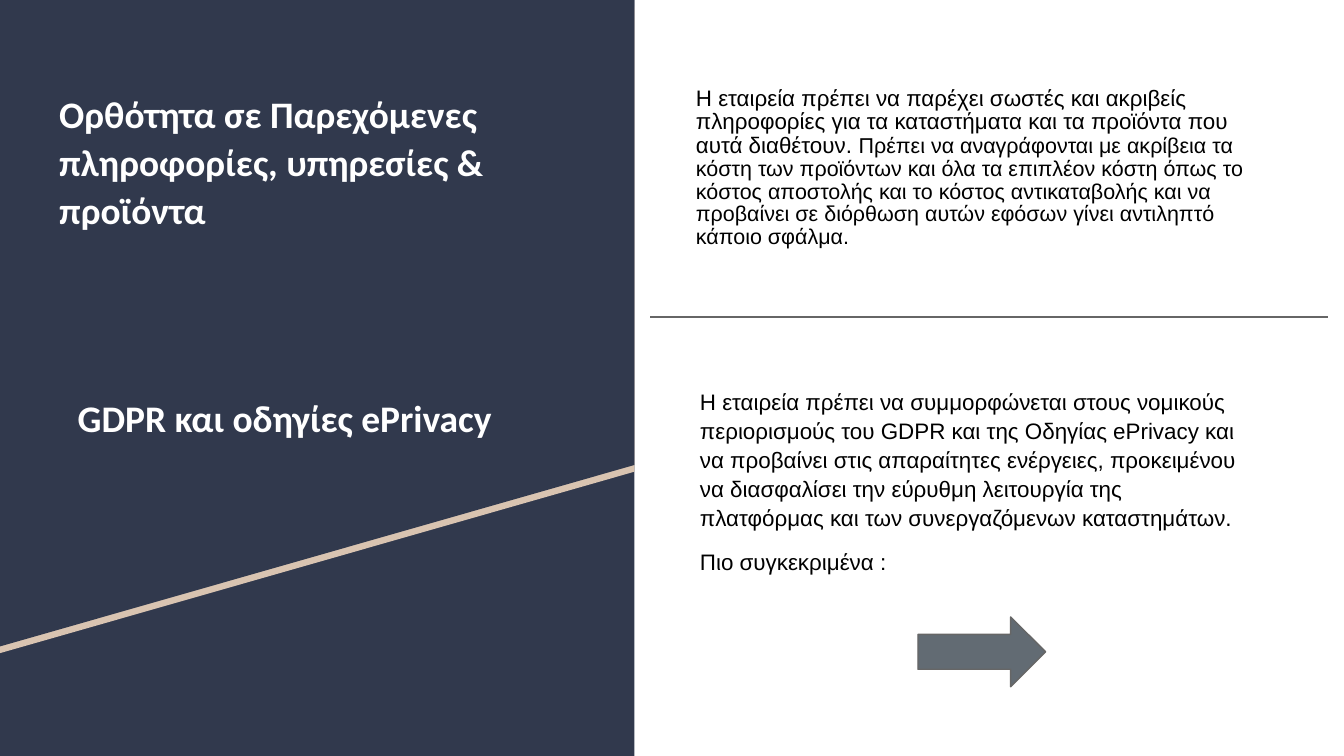
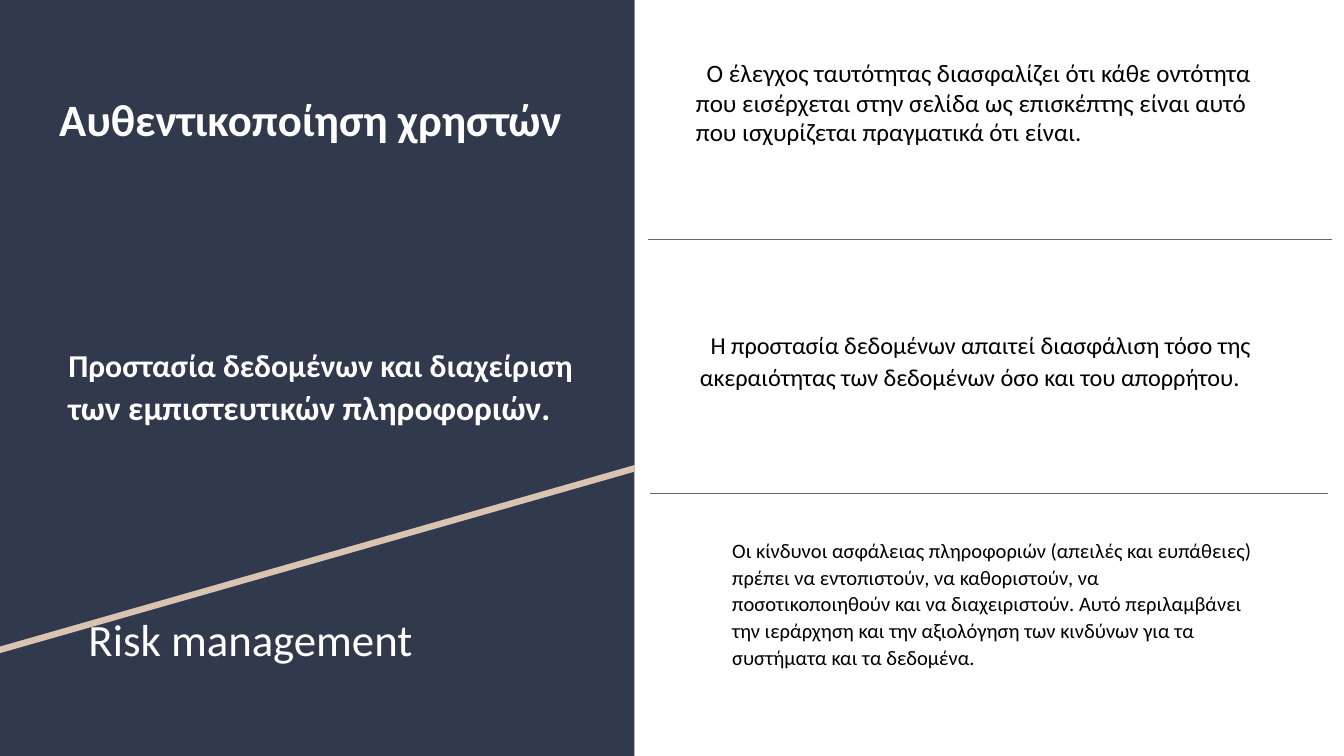
from dataclasses import dataclass

from lxml import etree
from pptx import Presentation
from pptx.dml.color import RGBColor
from pptx.enum.shapes import MSO_CONNECTOR, MSO_SHAPE
from pptx.enum.text import MSO_ANCHOR, MSO_AUTO_SIZE, PP_ALIGN
from pptx.oxml.ns import qn
from pptx.util import Inches, Pt

NAVY = RGBColor(0x31, 0x39, 0x4D)
SAND = RGBColor(0xD9, 0xC4, 0xB1)
SLATE = RGBColor(0x62, 0x6B, 0x73)
GRAY = RGBColor(0x66, 0x66, 0x66)
WHITE = RGBColor(0xFF, 0xFF, 0xFF)
BLACK = RGBColor(0, 0, 0)

STRAIGHT = MSO_CONNECTOR.STRAIGHT
RECTANGLE, RIGHT_ARROW = MSO_SHAPE.RECTANGLE, MSO_SHAPE.RIGHT_ARROW
TOP, LEFT, NO_AUTOFIT = MSO_ANCHOR.TOP, PP_ALIGN.LEFT, MSO_AUTO_SIZE.NONE

SLIDE_W = 10
SLIDE_H = SLIDE_W * 9 / 16
PANEL_W = 4.72
SLOPE_LEFT, SLOPE_RIGHT, STRIPE = 4.81, 3.46, 0.05
MARGIN = 0.1
RULE_WIDTH = 0.75
TITLE_ONLY = 5


@dataclass
class Block:
    """Text at (left, top, width, height); paragraphs are lists of (text, size) runs."""
    at: tuple
    paragraphs: list
    font: str = "Calibri"
    color: RGBColor = BLACK
    bold: bool = False
    line_spacing: float = 1.08
    after: float = 0
    gap: float = 0
    indent: float = 0
    right_margin: float = MARGIN


def heading(at, *runs):
    return Block(at, [runs], color=WHITE, bold=True, after=8)


SLIDES = [
    {
        "title": heading((0.34, 0.55, 4.05, 1.95),
                         ("Ορθότητα σε Παρεχόμενες πληροφορίες, υπηρεσίες & προϊόντα", 20)),
        "blocks": [
            Block((5.08, 0.55, 4.56, 1.73), [[
                ("H εταιρεία πρέπει να παρέχει σωστές και ακριβείς πληροφορίες για τα "
                 "καταστήματα και τα προϊόντα που αυτά διαθέτουν. ", 12),
                ("Πρέπει να αναγράφονται με ακρίβεια τα κόστη των προϊόντων και όλα τα "
                 "επιπλέον κόστη όπως το κόστος αποστολής και το κόστος αντικαταβολής και "
                 "να προβαίνει σε διόρθωση αυτών εφόσων γίνει αντιληπτό κάποιο σφάλμα.", 11.5),
            ]], font="Arial", line_spacing=0.88, right_margin=0.3),
            heading((0.48, 2.81, 4.05, 1.95), ("GDPR και οδηγίες ePrivacy", 20.1)),
            Block((5.11, 2.77, 4.26, 1.61), [
                [("Η εταιρεία πρέπει να συμμορφώνεται στους νομικούς περιορισμούς του GDPR "
                  "και της Οδηγίας ePrivacy και να προβαίνει στις απαραίτητες ενέργειες, "
                  "προκειμένου να διασφαλίσει την εύρυθμη λειτουργία της πλατφόρμας και των "
                  "συνεργαζόμενων καταστημάτων.", 12)],
                [("Πιο συγκεκριμένα :", 12)],
            ], font="Arial", gap=8),
        ],
        "arrow": (6.83, 4.59, 0.95, 0.52),
        "rules": [(4.84, 9.88, 2.36)],
    },
    {
        "title": heading((0.34, 0.55, 4.05, 2.74), ("Αυθεντικοποίηση χρηστών", 24)),
        "blocks": [
            Block((5.08, 0.34, 4.56, 1.38), [[
                ("Ο έλεγχος ταυτότητας διασφαλίζει ότι κάθε οντότητα που εισέρχεται στην "
                 "σελίδα ως επισκέπτης είναι αυτό που ισχυρίζεται πραγματικά ότι είναι.", 13.4),
            ]], line_spacing=0.98, indent=0.08),
            heading((0.41, 2.45, 3.98, 0.81),
                    ("Προστασία δεδομένων και διαχείριση τ", 17),
                    ("ων εμπιστευτικών πληροφοριών.", 18)),
            Block((5.11, 2.34, 4.56, 1.02), [[
                ("Η προστασία δεδομένων απαιτεί διασφάλιση τόσο της ακεραιότητας των "
                 "δεδομένων όσο και του απορρήτου.", 13),
            ]], indent=0.08),
            Block((0.56, 4.45, 3.69, 0.84), [[("Risk management", 24)]],
                  color=WHITE, line_spacing=1),
            Block((5.35, 3.89, 4.07, 1.55), [[
                ("Οι κίνδυνοι ασφάλειας πληροφοριών (απειλές και ευπάθειες) πρέπει να "
                 "εντοπιστούν, να καθοριστούν, να ποσοτικοποιηθούν και να διαχειριστούν. "
                 "Αυτό περιλαμβάνει την ιεράρχηση και την αξιολόγηση των κινδύνων για τα "
                 "συστήματα και τα δεδομένα.", 11),
            ]]),
        ],
        "rules": [(4.84, 9.88, 3.67), (4.82, 9.91, 1.78)],
    },
]


def inches(values):
    return [Inches(value) for value in values]


def paint(shape, color):
    shape.shadow.inherit = False
    shape.fill.solid()
    shape.fill.fore_color.rgb = color
    shape.line.fill.background()


def add_wedge(slide, offset, color):
    corners = [(0, offset), (PANEL_W, offset),
               (PANEL_W, SLOPE_RIGHT + offset), (0, SLOPE_LEFT + offset)]
    start, *others = [inches(corner) for corner in corners]
    builder = slide.shapes.build_freeform(*start)
    builder.add_line_segments(others, close=True)
    wedge = builder.convert_to_shape()
    paint(wedge, color)
    return wedge


def move_panel_to_layout(slide):
    """Draw the left panel once and hand it to the layout, behind its placeholders."""
    panel = slide.shapes.add_shape(RECTANGLE, *inches((0, 0, PANEL_W, SLIDE_H)))
    paint(panel, NAVY)
    parts = [panel, add_wedge(slide, STRIPE, SAND), add_wedge(slide, 0, NAVY)]
    layout_tree = slide.slide_layout.shapes.element
    for position, part in enumerate(parts, start=2):
        layout_tree.insert(position, part.element)


def write_block(shape, block):
    shape.left, shape.top, shape.width, shape.height = inches(block.at)
    frame = shape.text_frame
    frame.word_wrap = True
    frame.auto_size = NO_AUTOFIT
    frame.vertical_anchor = TOP
    frame.margin_left = frame.margin_top = frame.margin_bottom = Inches(MARGIN)
    frame.margin_right = Inches(block.right_margin)
    for index, runs in enumerate(block.paragraphs):
        paragraph = frame.add_paragraph() if index else frame.paragraphs[0]
        paragraph.alignment = LEFT
        paragraph.line_spacing = block.line_spacing
        paragraph.space_before = Pt(block.gap if index else 0)
        paragraph.space_after = Pt(block.after)
        paragraph.font.name = block.font
        paragraph.font.bold = block.bold
        paragraph.font.color.rgb = block.color
        if block.indent:
            paragraph._p.get_or_add_pPr().set("indent", str(Inches(block.indent)))
        for text, size in runs:
            run = paragraph.add_run()
            run.text = text
            run.font.size = Pt(size)


def add_rule(slide, left, right, y):
    rule = slide.shapes.add_connector(STRAIGHT, *inches((left, y, right, y)))
    rule.line.color.rgb = GRAY
    rule.line.width = Pt(RULE_WIDTH)
    etree.SubElement(rule.element.spPr, qn("a:effectLst"))


def add_arrow(slide, at):
    arrow = slide.shapes.add_shape(RIGHT_ARROW, *inches(at))
    paint(arrow, SLATE)
    arrow.line.color.rgb = GRAY
    arrow.line.width = Pt(RULE_WIDTH)


def main():
    deck = Presentation()
    deck.slide_width, deck.slide_height = inches((SLIDE_W, SLIDE_H))
    for number, content in enumerate(SLIDES):
        slide = deck.slides.add_slide(deck.slide_layouts[TITLE_ONLY])
        if number == 0:
            move_panel_to_layout(slide)
        write_block(slide.shapes.title, content["title"])
        for block in content["blocks"]:
            write_block(slide.shapes.add_textbox(*inches(block.at)), block)
        if "arrow" in content:
            add_arrow(slide, content["arrow"])
        for rule in content["rules"]:
            add_rule(slide, *rule)
    deck.save("out.pptx")


if __name__ == "__main__":
    main()
